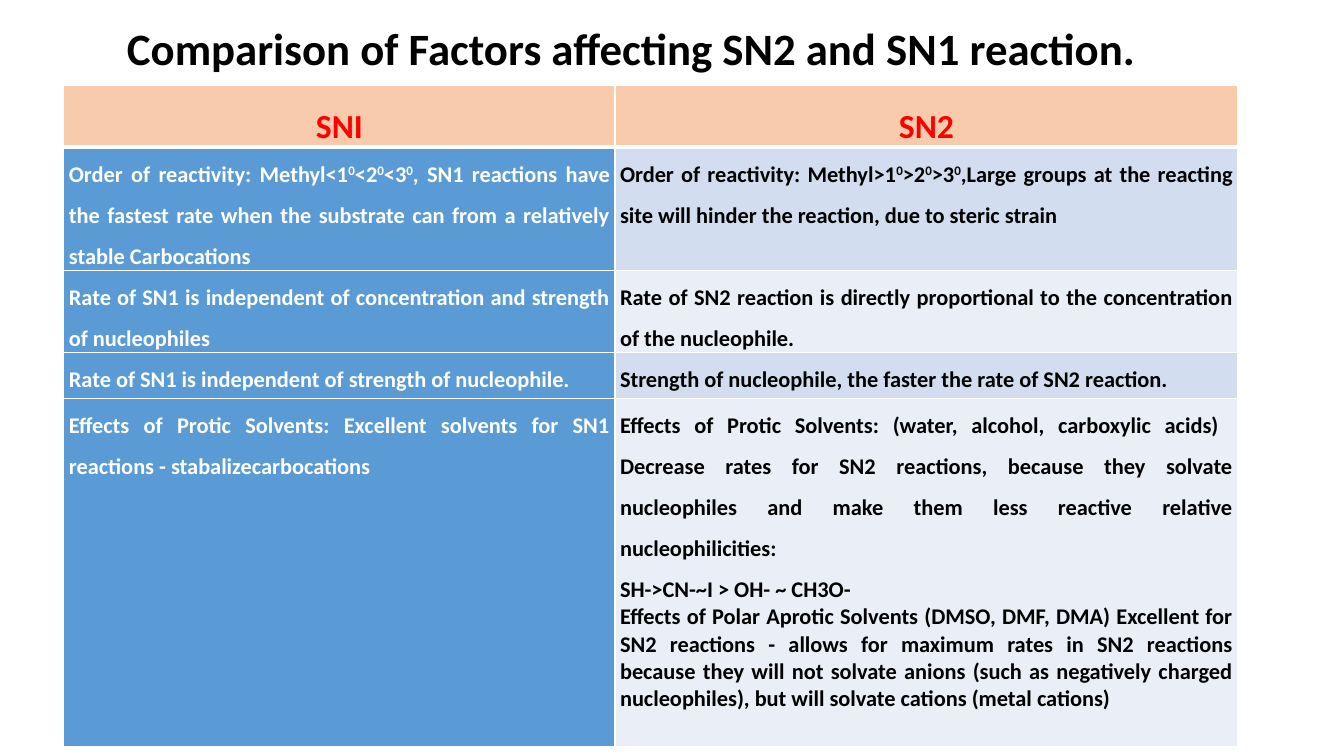
from lxml import etree
from pptx import Presentation
from pptx.dml.color import RGBColor
from pptx.enum import text
from pptx.oxml import ns
from pptx.util import Pt

WHITE = RGBColor(0xFF, 0xFF, 0xFF)
BLACK = RGBColor(0x00, 0x00, 0x00)
RED = RGBColor(0xFF, 0x00, 0x00)
PEACH = RGBColor(0xF8, 0xCB, 0xAD)
BLUE = RGBColor(0x5B, 0x9B, 0xD5)
BANDS = [RGBColor(0xD2, 0xDE, 0xEF), RGBColor(0xEA, 0xEF, 0xF7)]

COLUMN_WIDTHS = [393.7, 445]
ROW_HEIGHTS = [43.5, 86, 57.5, 32.5, 249]

# Superscripts stand between carets; each cell is a list of (text, line spacing)
HEADINGS = ["SNI", "SN2"]
FACTORS = [
    ([("Order of reactivity: Methyl<1^0^<2^0^<3^0^, SN1 reactions have the fastest rate "
       "when the substrate can from a relatively stable Carbocations", 1.5)],
     [("Order of reactivity: Methyl>1^0^>2^0^>3^0^,Large groups at the reacting site "
       "will hinder the reaction, due to steric strain", 1.5)]),
    ([("Rate of SN1 is independent of concentration and strength of nucleophiles", 1.5)],
     [("Rate of SN2 reaction is directly proportional to the concentration "
       "of the nucleophile.", 1.5)]),
    ([("Rate of SN1 is independent of strength of nucleophile.", 1.5)],
     [("Strength of nucleophile, the faster the rate of SN2 reaction.", 1.5)]),
    ([("Effects of Protic Solvents: Excellent solvents for SN1 reactions - "
       "stabalizecarbocations", 1.5)],
     [("Effects of Protic Solvents: (water, alcohol, carboxylic acids)  Decrease rates "
       "for SN2 reactions, because they solvate nucleophiles and make them less reactive "
       "relative nucleophilicities: \nSH->CN-~I > OH- ~ CH3O-", 1.5),
      ("Effects of Polar Aprotic Solvents (DMSO, DMF, DMA) Excellent for SN2 reactions - "
       "allows for maximum rates in SN2 reactions because they will not solvate anions "
       "(such as negatively charged nucleophiles), but will solvate cations "
       "(metal cations)", 1)]),
]


def write_paragraph(para, wording, size=16, color=BLACK, spacing=1.5,
                    align=text.PP_ALIGN.JUSTIFY):
    para.alignment = align
    para.line_spacing = spacing
    for line_number, line in enumerate(wording.split("\n")):
        if line_number:
            para.add_line_break()
        for index, piece in enumerate(line.split("^")):
            span = para.add_run()
            span.text = piece
            span.font.name = "Calibri"
            span.font.size = Pt(size)
            span.font.bold = True
            span.font.color.rgb = color
            if index % 2:
                span._r.get_or_add_rPr().set("baseline", "30000")


def add_title(page, wording):
    box = page.shapes.title
    box.left, box.top, box.width, box.height = Pt(83.5), Pt(-8), Pt(743), Pt(60)
    frame = box.text_frame
    frame.word_wrap = False
    frame.auto_size = text.MSO_AUTO_SIZE.NONE
    frame.vertical_anchor = text.MSO_ANCHOR.TOP
    write_paragraph(frame.paragraphs[0], wording, size=32)


def set_borders(cell, top=1, bottom=1):
    properties = cell._tc.get_or_add_tcPr()
    for side, width in (("L", 1), ("R", 1), ("T", top), ("B", bottom)):
        line = etree.SubElement(properties, ns.qn("a:ln" + side), w=str(Pt(width)))
        fill = etree.SubElement(line, ns.qn("a:solidFill"))
        etree.SubElement(fill, ns.qn("a:srgbClr"), val=str(WHITE))


def fill_cell(cell, paragraphs, fill, top=1, bottom=1, **style):
    cell.margin_left = cell.margin_right = Pt(3.6)
    cell.margin_top = cell.margin_bottom = 0
    set_borders(cell, top, bottom)
    cell.fill.solid()
    cell.fill.fore_color.rgb = fill
    frame = cell.text_frame
    for index, (wording, spacing) in enumerate(paragraphs):
        para = frame.add_paragraph() if index else frame.paragraphs[0]
        write_paragraph(para, wording, spacing=spacing, **style)


def add_comparison(page):
    table = page.shapes.add_table(
        len(ROW_HEIGHTS), len(COLUMN_WIDTHS), Pt(45.6), Pt(61.2),
        Pt(sum(COLUMN_WIDTHS)), Pt(sum(ROW_HEIGHTS))).table
    for column, width in zip(table.columns, COLUMN_WIDTHS):
        column.width = Pt(width)
    for row, height in zip(table.rows, ROW_HEIGHTS):
        row.height = Pt(height)

    # Header row
    for column, heading in enumerate(HEADINGS):
        fill_cell(table.cell(0, column), [(heading, 1.5)], PEACH, bottom=3,
                  size=24, color=RED, align=text.PP_ALIGN.CENTER)

    # Factor rows, with a thick rule under the header
    for row, (first, second) in enumerate(FACTORS, start=1):
        top = 3 if row == 1 else 1
        fill_cell(table.cell(row, 0), first, BLUE, top=top, color=WHITE)
        fill_cell(table.cell(row, 1), second, BANDS[(row - 1) % 2], top=top)


def main():
    deck = Presentation()
    deck.slide_width, deck.slide_height = Pt(960), Pt(540)
    page = deck.slides.add_slide(deck.slide_layouts[5])
    add_title(page, "Comparison of Factors affecting SN2 and SN1 reaction.")
    add_comparison(page)
    deck.save("out.pptx")


if __name__ == "__main__":
    main()
